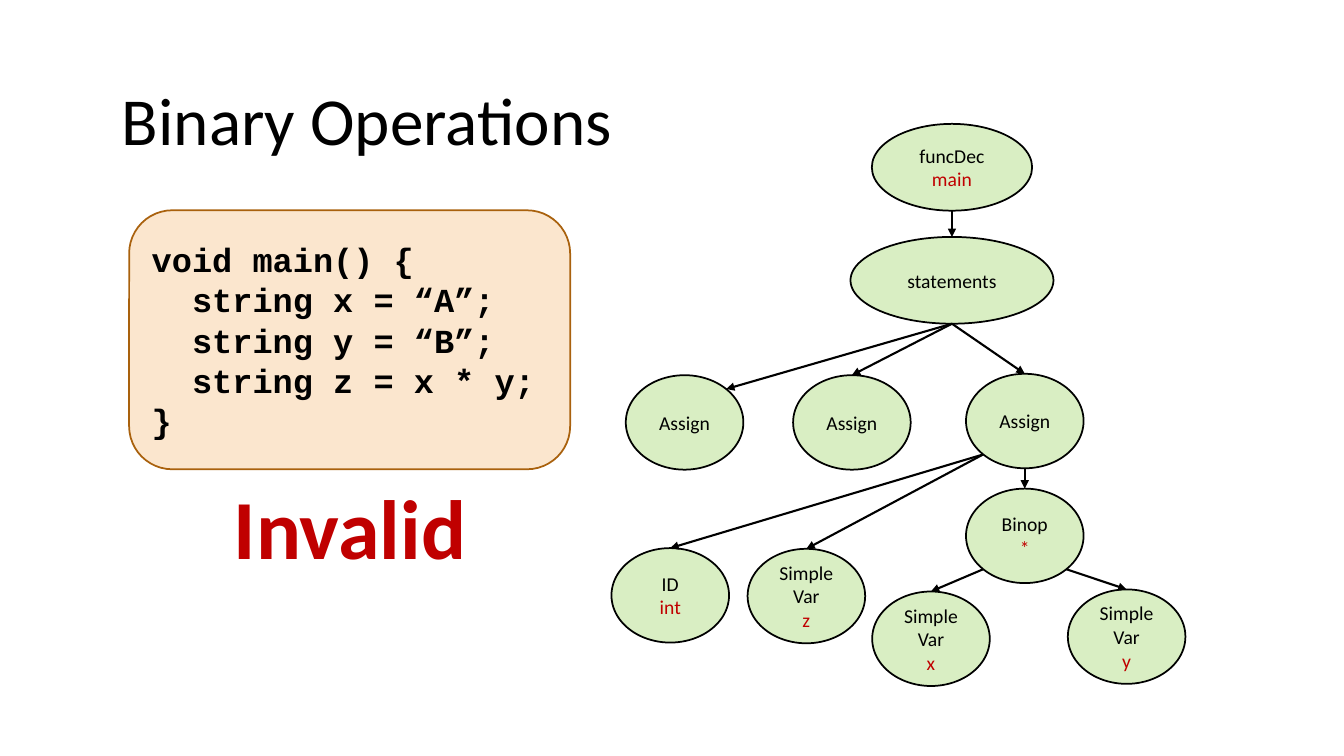
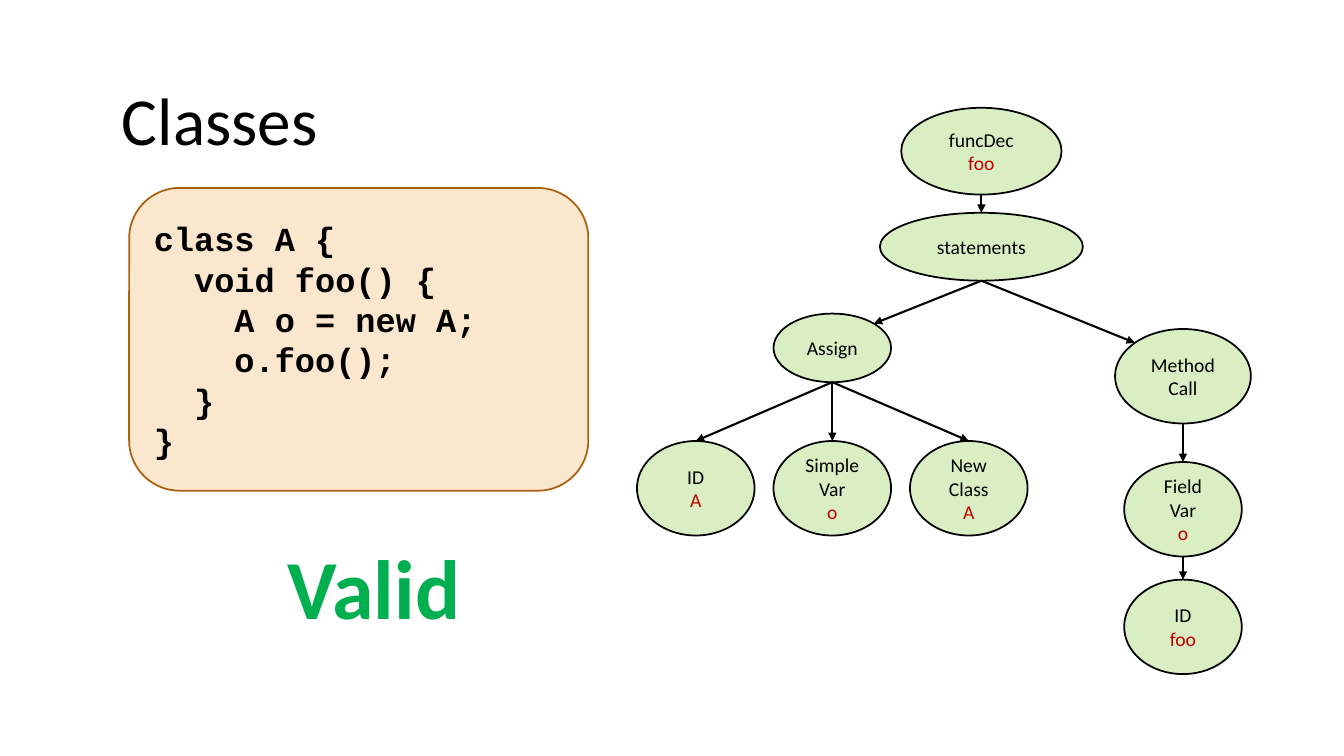
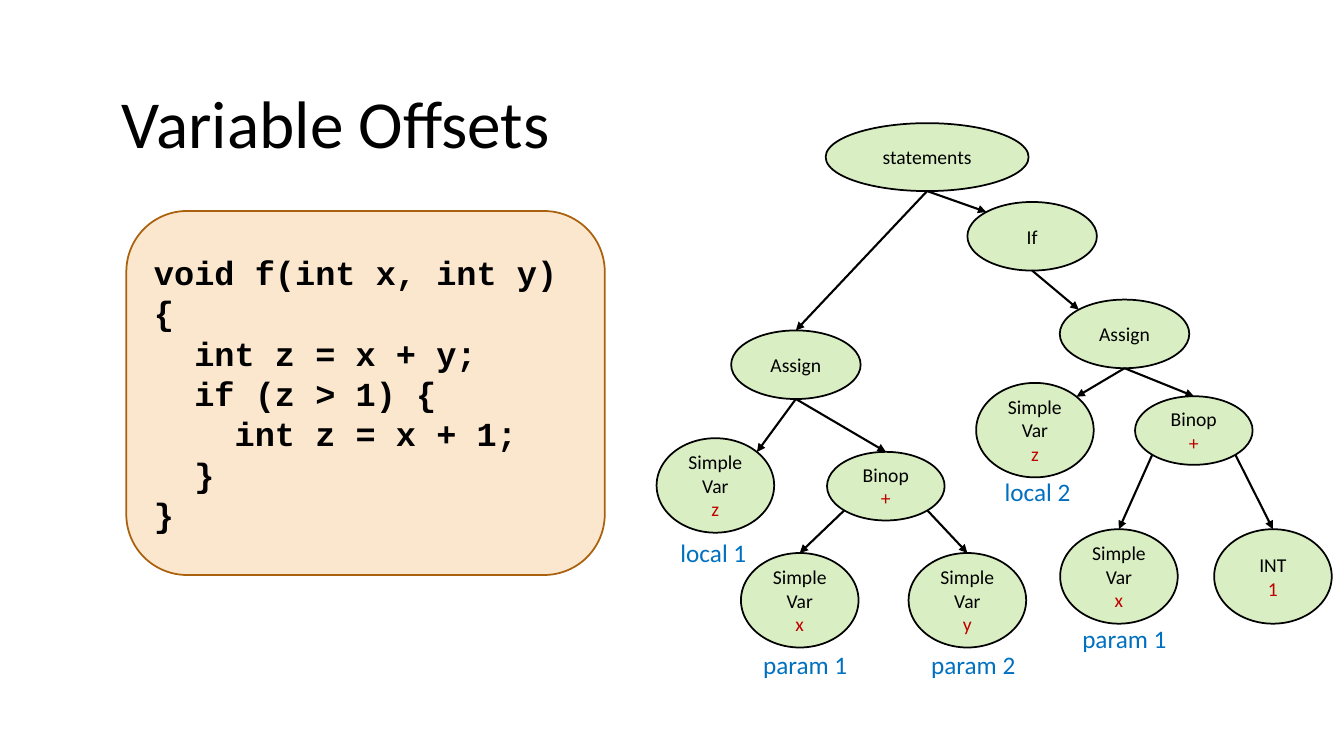
from math import sqrt

from lxml.etree import SubElement
from pptx import Presentation
from pptx.dml.color import RGBColor
from pptx.enum.shapes import MSO_CONNECTOR as Connector, MSO_SHAPE as Preset
from pptx.enum.text import MSO_ANCHOR as Anchor, PP_ALIGN as Align
from pptx.oxml.ns import qn
from pptx.util import Pt

COLORS = {
    "text": "000000",
    "value": "C00000",
    "node": "92D050",
    "code": "FBE6CE",
    "code_edge": "A9610D",
    "valid": "00B050",
    "invalid": "C00000",
    "label": "0070C0",
}
NODE_ALPHA = 34

# Width and height of each kind of tree node
SIZES = {
    "leaf": (84, 67.5),
    "flat": (84, 49),
    "branch": (92.5, 49),
    "call": (97, 67.5),
    "function": (114.5, 62),
    "tall_block": (145, 62),
    "block": (145, 48.5),
}

# Attachment sites on an ellipse, in half widths and half heights
DIAGONAL = 1 / sqrt(2)
SITES = {
    "top": (0, -1),
    "bottom": (0, 1),
    "top_left": (-DIAGONAL, -DIAGONAL),
    "top_right": (DIAGONAL, -DIAGONAL),
    "bottom_left": (-DIAGONAL, DIAGONAL),
    "bottom_right": (DIAGONAL, DIAGONAL),
}


def rgb(name):
    return RGBColor.from_string(COLORS[name])


def site_point(node, site):
    across, down = SITES[site]
    return (int(node.left + node.width * (1 + across) / 2),
            int(node.top + node.height * (1 + down) / 2))


class Deck:
    def __init__(self):
        self.prs = Presentation()
        self.prs.slide_width, self.prs.slide_height = Pt(960), Pt(540)
        self.slide = None

    def new_slide(self, title, top=52.5):
        self.slide = self.prs.slides.add_slide(self.prs.slide_layouts[6])
        self.text((80, top, 798.5, 65.5), title, 48)

    def set_lines(self, frame, lines, size, font="Calibri", align=Align.LEFT, bold=False):
        """Fill a text frame with (text, colour) lines."""
        frame.word_wrap = True
        for i, (line, color) in enumerate(lines):
            paragraph = frame.add_paragraph() if i else frame.paragraphs[0]
            paragraph.text = line
            paragraph.alignment = align
            paragraph.font.name = font
            paragraph.font.size = Pt(size)
            paragraph.font.bold = bold
            paragraph.font.color.rgb = rgb(color)

    def text(self, box, words, size, color="text", **style):
        area = self.slide.shapes.add_textbox(*map(Pt, box))
        self.set_lines(area.text_frame, [(words, color)], size, **style)

    def verdict(self, left, top, words, color):
        self.text((left, top, 220, 80), words, 60, color, align=Align.CENTER, bold=True)

    def label(self, left, top, words):
        self.text((left, top, 75, 29), words, 18, "label")

    def panel(self, preset, box, fill, edge):
        shape = self.slide.shapes.add_shape(preset, *map(Pt, box))
        shape.shadow.inherit = False
        shape.fill.solid()
        shape.fill.fore_color.rgb = rgb(fill)
        shape.line.color.rgb = rgb(edge)
        shape.line.width = Pt(1.25)
        shape.text_frame.vertical_anchor = Anchor.MIDDLE
        return shape

    def code(self, box, source):
        listing = self.panel(Preset.ROUNDED_RECTANGLE, box, "code", "code_edge")
        lines = [(line, "text") for line in source.strip().split("\n")]
        self.set_lines(listing.text_frame, lines, 24, "Courier New", bold=True)

    def node(self, center, top, words, value=None, kind="leaf"):
        width, height = SIZES[kind]
        ellipse = self.panel(Preset.OVAL, (center - width / 2, top, width, height),
                             "node", "text")
        tint = next(ellipse.element.spPr.iter(qn("a:srgbClr")))
        SubElement(tint, qn("a:alpha")).set("val", str(NODE_ALPHA * 1000))
        lines = [(word, "text") for word in words.split()]
        if value:
            lines.append((value, "value"))
        self.set_lines(ellipse.text_frame, lines, 14, align=Align.CENTER)
        return ellipse

    def arrow(self, parent, child, leave="bottom", reach="top"):
        arrow = self.slide.shapes.add_connector(
            Connector.STRAIGHT, *site_point(parent, leave), *site_point(child, reach))
        if reach == "top":
            arrow.end_connect(child, 0)
        arrow.line.color.rgb = rgb("text")
        arrow.line.width = Pt(1.5)
        properties = arrow.element.spPr
        SubElement(properties.find(qn("a:ln")), qn("a:tailEnd")).set("type", "triangle")
        SubElement(properties, qn("a:effectLst"))


def binary_operations(deck):
    deck.new_slide("Binary Operations")
    deck.verdict(140, 336, "Invalid", "invalid")
    deck.code((92.25, 150.25, 315, 185), """
void main() {
  string x = “A”;
  string y = “B”;
  string z = x * y;
}""")

    # Syntax tree
    function = deck.node(680, 88.5, "funcDec", "main", "function")
    statements = deck.node(680, 169.25, "statements", kind="tall_block")
    assign_x = deck.node(489, 268, "Assign")
    assign_y = deck.node(608.5, 268, "Assign")
    assign_z = deck.node(732, 267, "Assign")
    binop = deck.node(732, 349, "Binop", "*")
    type_id = deck.node(478.75, 391.5, "ID", "int")
    var_z = deck.node(576, 392, "Simple Var", "z")
    var_x = deck.node(665, 422.5, "Simple Var", "x")
    var_y = deck.node(804.75, 421, "Simple Var", "y")

    deck.arrow(function, statements)
    deck.arrow(statements, assign_x, reach="top_right")
    deck.arrow(statements, assign_y)
    deck.arrow(statements, assign_z)
    deck.arrow(assign_z, type_id, "bottom_left")
    deck.arrow(assign_z, var_z, "bottom_left")
    deck.arrow(assign_z, binop)
    deck.arrow(binop, var_x, "bottom_left")
    deck.arrow(binop, var_y, "bottom_right")


def classes(deck):
    deck.new_slide("Classes")
    deck.code((92.25, 134.25, 328, 216.25), """
class A {
  void foo() {
    A o = new A;
    o.foo();
  }
}""")
    deck.verdict(157, 379, "Valid", "valid")

    # Syntax tree
    function = deck.node(701, 77, "funcDec", "foo", "function")
    statements = deck.node(701, 152, "statements", kind="block")
    assign = deck.node(594.5, 224, "Assign", kind="flat")
    method_call = deck.node(845, 235, "Method Call", kind="call")
    field_var = deck.node(845, 330, "Field Var", "o")
    field_id = deck.node(845, 414, "ID", "foo")

    deck.arrow(function, statements)
    deck.arrow(statements, assign, reach="top_right")
    deck.arrow(statements, method_call, reach="top_left")
    deck.arrow(method_call, field_var)
    deck.arrow(field_var, field_id)

    # Evenly spaced parts of the assignment
    parts = [("ID", "A"), ("Simple Var", "o"), ("New Class", "A")]
    for i, (words, value) in enumerate(parts):
        deck.arrow(assign, deck.node(594.5 + (i - 1) * 97.5, 315, words, value))


def variable_offsets(deck):
    deck.new_slide("Variable Offsets", top=54.75)
    deck.code((90.25, 150.75, 341.75, 260), """
void f(int x, int y){
  int z = x + y;
  if (z > 1) {
    int z = x + 1;
  }
}""")

    # Syntax tree
    statements = deck.node(662.25, 88, "statements", kind="block")
    condition = deck.node(737.25, 144.25, "If", kind="branch")
    outer_assign = deck.node(568.5, 236, "Assign", kind="branch")
    inner_assign = deck.node(803.25, 214, "Assign", kind="branch")
    deck.arrow(statements, condition, reach="top_left")
    deck.arrow(statements, outer_assign)
    deck.arrow(condition, inner_assign, reach="top_left")

    # Each assignment: its variable, its sum and the two operands
    subtrees = [
        (outer_assign, (511, 313), (632.75, 322.75),
         (571.25, 395, "Simple Var", "x"), (691, 395, "Simple Var", "y")),
        (inner_assign, (739.25, 273.5), (852.75, 283),
         (799.25, 378, "Simple Var", "x"), (909.25, 378, "INT", "1")),
    ]
    for assign, variable_at, sum_at, first, second in subtrees:
        variable = deck.node(*variable_at, "Simple Var", "z")
        binop = deck.node(*sum_at, "Binop", "+", "flat")
        deck.arrow(assign, variable, reach="top_right")
        deck.arrow(assign, binop)
        deck.arrow(binop, deck.node(*first), "bottom_left")
        deck.arrow(binop, deck.node(*second), "bottom_right")

    # Offsets
    deck.label(479, 380, "local 1")
    deck.label(538, 460, "param 1")
    deck.label(658, 460, "param 2")
    deck.label(710.5, 337, "local 2")
    deck.label(766, 442, "param 1")


def main():
    deck = Deck()
    binary_operations(deck)
    classes(deck)
    variable_offsets(deck)
    deck.prs.save("out.pptx")


if __name__ == "__main__":
    main()
